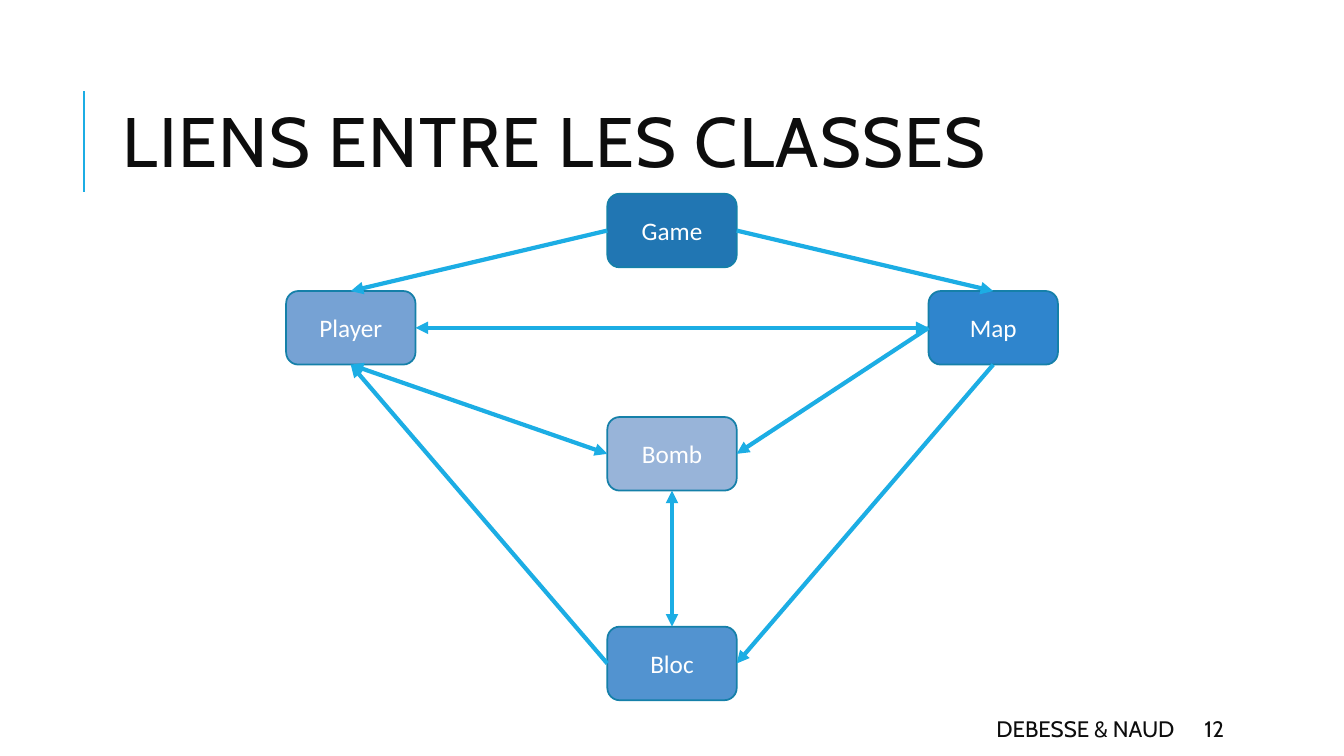
import pptx
import pptx.util
import pptx.dml.color
import pptx.enum.shapes
import pptx.enum.text
import pptx.oxml.ns
import lxml.etree

COLS, ROWS = 40, 30
TOP, LEFT, BOTTOM, RIGHT = range(4)
ALIGN = pptx.enum.text.PP_ALIGN
INK, WHITE, SKY, EDGE = "0D0D0D", "FFFFFF", "1CADE4", "1580A9"


def color(code):
    return pptx.dml.color.RGBColor.from_string(code)


def apply(target, values):
    for name, value in values.items():
        setattr(target, name, value)


def add_tag(parent, name, **attrs):
    return lxml.etree.SubElement(parent, pptx.oxml.ns.qn(name), attrs)


class Board:
    """Holds the style and the current slide; lengths are grid columns and rows."""

    box_size = 3.85, 2.92
    frame = {"word_wrap": True, "margin_top": 0, "margin_bottom": 0,
             "vertical_anchor": pptx.enum.text.MSO_ANCHOR.MIDDLE}

    def __init__(self, deck):
        self.col = deck.slide_width / COLS
        self.row = deck.slide_height / ROWS
        self.slide = deck.slides.add_slide(deck.slide_layouts[6])
        self.shapes = self.slide.shapes

    def scale(self, *grid):
        """Turn alternating columns and rows into lengths."""
        return [round(n * (self.row if i % 2 else self.col))
                for i, n in enumerate(grid)]

    def put_text(self, shape, words, size, face, ink, align, **form):
        apply(shape.text_frame, self.frame)
        para = shape.text_frame.paragraphs[0]
        apply(para, {"alignment": align, **form})
        run = para.add_run()
        run.text = words
        apply(run.font, {"size": pptx.util.Pt(size), "name": face})
        run.font.color.rgb = color(ink)
        return run

    def label(self, words, area, size=16, align=ALIGN.LEFT, **form):
        shape = self.shapes.add_textbox(*self.scale(*area))
        return self.put_text(shape, words, size, "Cabin", INK, align, **form)

    def box(self, words, mid, fill):
        """Draw a rounded class box centred on a grid point."""
        wide, high = self.box_size
        area = self.scale(mid[0] - wide / 2, mid[1] - high / 2, wide, high)
        shape = self.shapes.add_shape(
            pptx.enum.shapes.MSO_SHAPE.ROUNDED_RECTANGLE, *area)
        shape.shadow.inherit = False
        shape.fill.solid()
        shape.fill.fore_color.rgb = color(fill)
        self.stroke(shape, EDGE, 1.25)
        self.put_text(shape, words, 18, "Calibri", WHITE, ALIGN.CENTER)
        return shape

    def stroke(self, shape, code, width):
        shape.line.color.rgb = color(code)
        shape.line.width = pptx.util.Pt(width)

    def line(self, ends=(0, 0, 0, 0), width=3):
        link = self.shapes.add_connector(
            pptx.enum.shapes.MSO_CONNECTOR.STRAIGHT, *self.scale(*ends))
        self.stroke(link, SKY, width)
        add_tag(link._element.spPr, "a:effectLst")
        return link

    def arrow(self, start, end, both=False):
        """Join two (box, side) pairs, with a head at the end or at both."""
        link = self.line()
        link.begin_connect(*start)
        link.end_connect(*end)
        stroke = link.line._get_or_add_ln()
        for tip in ("a:headEnd", "a:tailEnd") if both else ("a:tailEnd",):
            add_tag(stroke, tip, type="triangle")


def main():
    deck = pptx.Presentation()
    deck.slide_width = pptx.util.Inches(13.33)
    deck.slide_height = pptx.util.Inches(7.5)
    board = Board(deck)

    board.line((2.5, 7.6, 2.5, 3.6), 1.5)
    title = board.label("LIENS ENTRE LES CLASSES", (3.36, 2.56, 31.89, 6.56),
                        50, line_spacing=0.8)
    title.font._element.set("spc", "100")
    board.label("DEBESSE & NAUD", (15.9, 28.32, 19.35, 1.2), align=ALIGN.RIGHT)
    board.label("12", (35.55, 28.32, 3.18, 1.2))

    mid, side = COLS / 2, 9.56
    game = board.box("Game", (mid, 9.15), "2176B3")
    card = board.box("Map", (mid + side, 13.01), "2F85CD")
    player = board.box("Player", (mid - side, 13.01), "76A2D4")
    bomb = board.box("Bomb", (mid, 18.01), "98B4D9")
    bloc = board.box("Bloc", (mid, 26.33), "5293D0")

    for start, end, both in (
        ((game, LEFT), (player, TOP), False),
        ((game, RIGHT), (card, TOP), False),
        ((card, LEFT), (player, RIGHT), True),
        ((card, BOTTOM), (bloc, RIGHT), False),
        ((card, LEFT), (bomb, RIGHT), False),
        ((bomb, LEFT), (player, BOTTOM), True),
        ((bloc, LEFT), (player, BOTTOM), False),
        ((bloc, TOP), (bomb, BOTTOM), True),
    ):
        board.arrow(start, end, both)

    deck.save("out.pptx")


if __name__ == "__main__":
    main()
